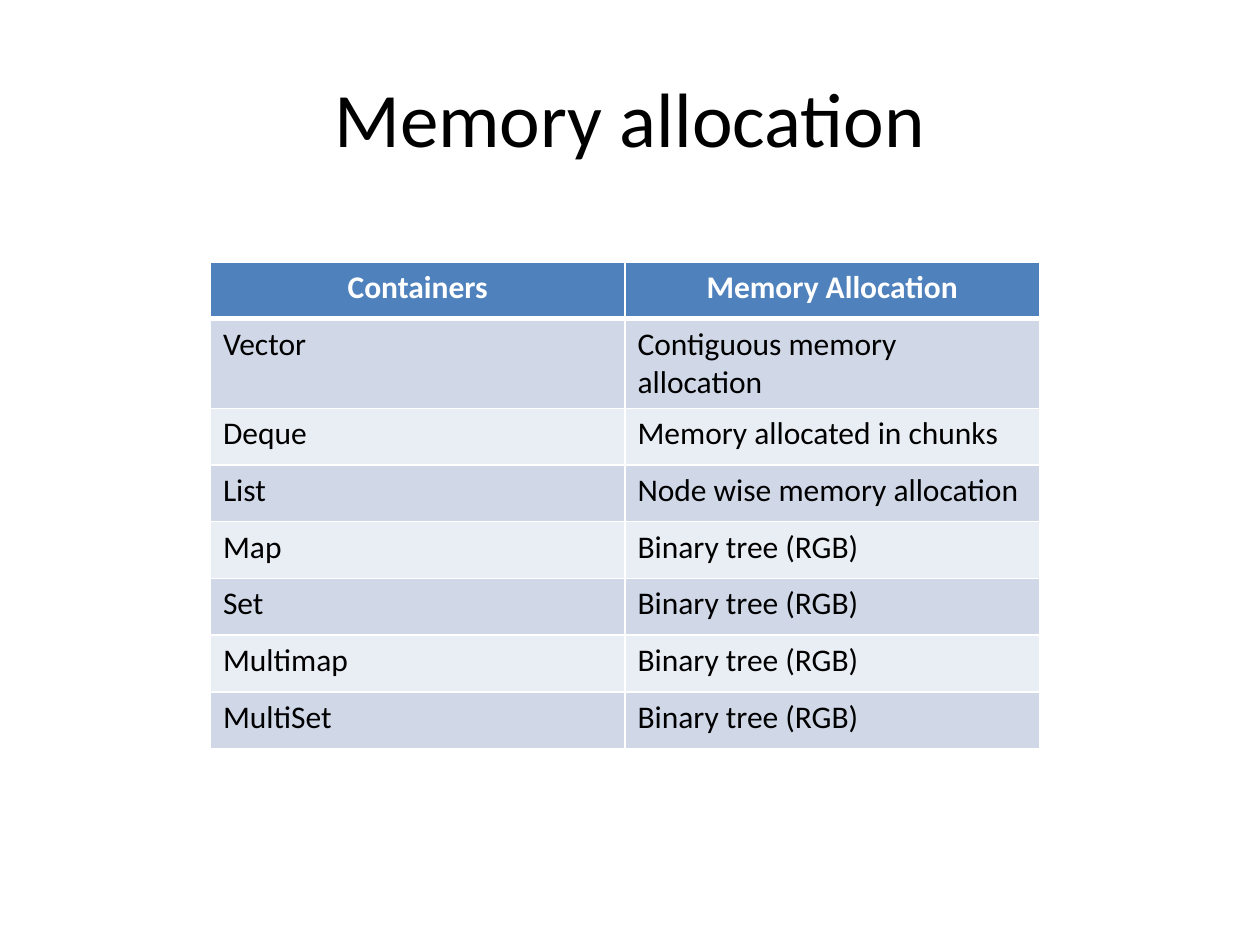
from lxml.etree import SubElement
from pptx import Presentation
from pptx.dml.color import RGBColor
from pptx.enum.text import MSO_ANCHOR, PP_ALIGN
from pptx.oxml.ns import qn
from pptx.util import Inches, Pt

HEADER_FILL = "4F81BD"
BAND_FILLS = ("D0D8E8", "E9EDF4")
WHITE, BLACK = "FFFFFF", "000000"
ROW_HEIGHT, COLUMN_WIDTH = 0.45, 3.29
ALLOCATIONS = [
    ("Containers", "Memory Allocation"),
    ("Vector", "Contiguous memory allocation"),
    ("Deque", "Memory allocated in chunks"),
    ("List", "Node wise memory allocation"),
    ("Map", "Binary tree (RGB)"),
    ("Set", "Binary tree (RGB)"),
    ("Multimap", "Binary tree (RGB)"),
    ("MultiSet", "Binary tree (RGB)"),
]


def color(hex_code):
    """Turn a hex string into a colour."""
    return RGBColor.from_string(hex_code)


def write_text(frame, text, size=18, fill=BLACK, bold=False, align=PP_ALIGN.LEFT):
    """Put one formatted paragraph into a text frame."""
    paragraph = frame.paragraphs[0]
    paragraph.alignment = align
    run = paragraph.add_run()
    run.text = text
    run.font.name = "Calibri"
    run.font.size = Pt(size)
    run.font.bold = bold
    run.font.color.rgb = color(fill)


def set_borders(cell, **widths):
    """Draw white cell borders; widths in points by side L, R, T, B."""
    properties = cell._tc.get_or_add_tcPr()
    for position, (side, width) in enumerate(widths.items()):
        line = SubElement(properties, qn(f"a:ln{side}"), w=str(Pt(width)))
        paint = SubElement(line, qn("a:solidFill"))
        SubElement(paint, qn("a:srgbClr"), val=WHITE)
        properties.insert(position, line)


def add_title(slide, text):
    """Place and fill the slide title."""
    title = slide.shapes.title
    title.left, title.top = Inches(0.5), Inches(0.3)
    title.width, title.height = Inches(9), Inches(1.25)
    title.text_frame.vertical_anchor = MSO_ANCHOR.MIDDLE
    write_text(title.text_frame, text, size=44, align=PP_ALIGN.CENTER)


def add_allocation_table(slide, rows):
    """Add the banded table with a centred header row."""
    column_count = len(rows[0])
    table = slide.shapes.add_table(
        len(rows), column_count, Inches(1.67), Inches(2.08),
        Inches(COLUMN_WIDTH * column_count), Inches(ROW_HEIGHT * len(rows)),
    ).table
    for row_index, entries in enumerate(rows):
        is_header = row_index == 0
        band = HEADER_FILL if is_header else BAND_FILLS[(row_index - 1) % 2]
        for column_index, entry in enumerate(entries):
            cell = table.cell(row_index, column_index)
            cell.fill.solid()
            cell.fill.fore_color.rgb = color(band)
            set_borders(cell, L=1, R=1, T=3 if row_index == 1 else 1,
                        B=3 if is_header else 1)
            write_text(cell.text_frame, entry, bold=is_header,
                       fill=WHITE if is_header else BLACK,
                       align=PP_ALIGN.CENTER if is_header else PP_ALIGN.LEFT)


def main():
    """Build and save the slide."""
    presentation = Presentation()
    presentation.slide_width = Inches(10)
    presentation.slide_height = Inches(7.5)
    slide = presentation.slides.add_slide(presentation.slide_layouts[5])
    add_title(slide, "Memory allocation")
    add_allocation_table(slide, ALLOCATIONS)
    presentation.save("out.pptx")


main()
